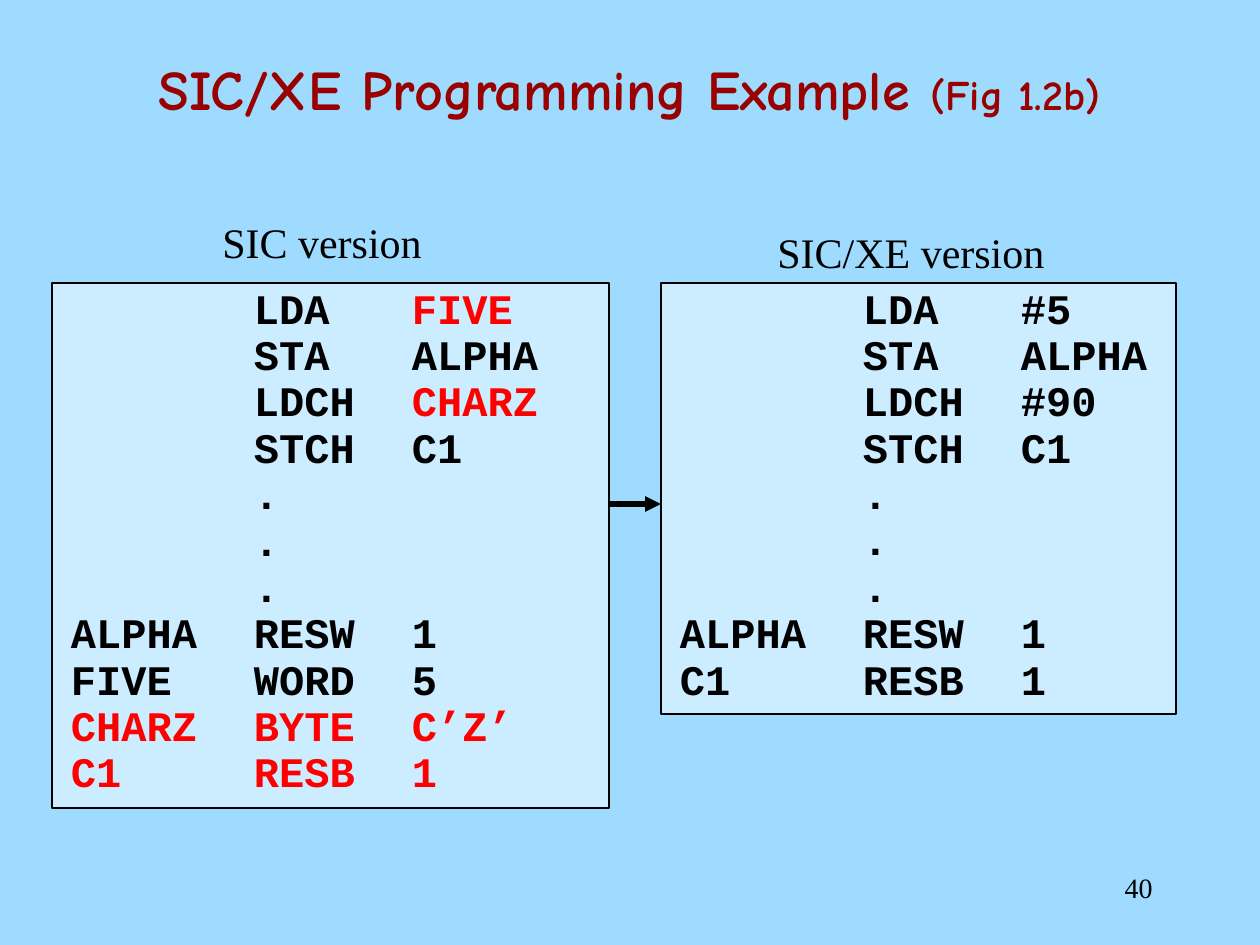
"""Build a slide that sets SIC code beside SIC/XE code."""
from lxml.etree import SubElement
from pptx import Presentation
from pptx.dml.color import RGBColor
from pptx.enum.shapes import MSO_CONNECTOR, MSO_SHAPE
from pptx.enum.text import MSO_ANCHOR, MSO_AUTO_SIZE, PP_ALIGN
from pptx.oxml.ns import qn
from pptx.util import Emu, Pt


def px(count):
    return Emu(round(count * 914400 / 126))


def write(para, text, color, **style):
    run = para.add_run()
    run.text = text
    for key, value in style.items():
        setattr(run.font, key, value)
    run.font.color.rgb = RGBColor.from_string(color)


BLACK, RED, MAROON = "000000", "FF0000", "990000"
SKY, PALE = "9EDBFF", "CCECFF"
CODE = dict(name="Courier New", size=Pt(24), bold=True)
STOPS = (183, 341)

deck = Presentation()
deck.slide_width, deck.slide_height = px(1260), px(945)
slide = deck.slides.add_slide(deck.slide_layouts[5])
slide.background.fill.solid()
slide.background.fill.fore_color.rgb = RGBColor.from_string(SKY)

title = slide.shapes.title
place = dict(left=94, top=32, width=1071, height=113)
for key, value in place.items():
    setattr(title, key, px(value))
title.text_frame.vertical_anchor = MSO_ANCHOR.MIDDLE
para = title.text_frame.paragraphs[0]
para.alignment = PP_ALIGN.CENTER
for text, size in (("SIC/XE Programming Example ", 32), ("(Fig 1.2b)", 24)):
    write(para, text, MAROON, name="Comic Neue", size=Pt(size), bold=True)

dots = [("\t.", "")] * 3
sic = [
    ("\tLDA\t", "FIVE"),
    ("\tSTA\tALPHA", ""),
    ("\tLDCH\t", "CHARZ"),
    ("\tSTCH\tC1", ""),
    *dots,
    ("ALPHA\tRESW\t1", ""),
    ("FIVE\tWORD\t5", ""),
    ("", "CHARZ\tBYTE\tC’Z’"),
    ("", "C1\tRESB\t1"),
]
xe = [
    ("\tLDA\t#5", ""),
    ("\tSTA\tALPHA", ""),
    ("\tLDCH\t#90", ""),
    ("\tSTCH\tC1", ""),
    *dots,
    ("ALPHA\tRESW\t1", ""),
    ("C1\tRESB\t1", ""),
]

for left, width, height, rows in ((661, 515, 431, xe), (52, 557, 525, sic)):
    box = slide.shapes.add_shape(
        MSO_SHAPE.RECTANGLE, px(left), px(283), px(width), px(height))
    box.shadow.inherit = False
    box.fill.solid()
    box.fill.fore_color.rgb = RGBColor.from_string(PALE)
    box.line.color.rgb = RGBColor.from_string(BLACK)
    box.line.width = Pt(0.75)
    frame = box.text_frame
    form = dict(margin_left=px(19), margin_right=px(19), margin_top=px(25),
                margin_bottom=px(25), vertical_anchor=MSO_ANCHOR.TOP,
                word_wrap=True)
    for key, value in form.items():
        setattr(frame, key, value)
    for row, (plain, marked) in enumerate(rows):
        para = frame.add_paragraph() if row else frame.paragraphs[0]
        para.alignment = PP_ALIGN.LEFT
        para.line_spacing = 0.4
        para.space_before = Pt(15 if row else 0)
        tabs = SubElement(para._p.get_or_add_pPr(), qn("a:tabLst"))
        for stop in STOPS:
            SubElement(tabs, qn("a:tab"), pos=str(px(stop)), algn="l")
        for text, color in ((plain, BLACK), (marked, RED)):
            if text:
                write(para, text, color, **CODE)

arrow = slide.shapes.add_connector(
    MSO_CONNECTOR.STRAIGHT, px(609), px(504), px(661), px(504))
arrow.line.color.rgb = RGBColor.from_string(BLACK)
arrow.line.width = Pt(3)
SubElement(arrow.line._get_or_add_ln(), qn("a:tailEnd"), type="triangle")
SubElement(arrow._element.spPr, qn("a:effectLst"))

TOP, MID = MSO_ANCHOR.TOP, MSO_ANCHOR.MIDDLE
FIT, FIXED = MSO_AUTO_SIZE.SHAPE_TO_FIT_TEXT, MSO_AUTO_SIZE.NONE
notes = [
    ("SIC version", (206, 210, 232, 63), 24, PP_ALIGN.CENTER, TOP, FIT, False),
    ("SIC/XE version", (761, 220, 300, 63), 24, PP_ALIGN.CENTER, TOP, FIT, False),
    ("40", (1029, 861, 136, 53), 16, PP_ALIGN.RIGHT, MID, FIXED, True),
]
for text, place, size, align, anchor, fit, wrap in notes:
    frame = slide.shapes.add_textbox(*map(px, place)).text_frame
    form = dict(vertical_anchor=anchor, auto_size=fit, word_wrap=wrap)
    for key, value in form.items():
        setattr(frame, key, value)
    para = frame.paragraphs[0]
    para.alignment = align
    write(para, text, BLACK, name="Times New Roman", size=Pt(size))

deck.save("out.pptx")
